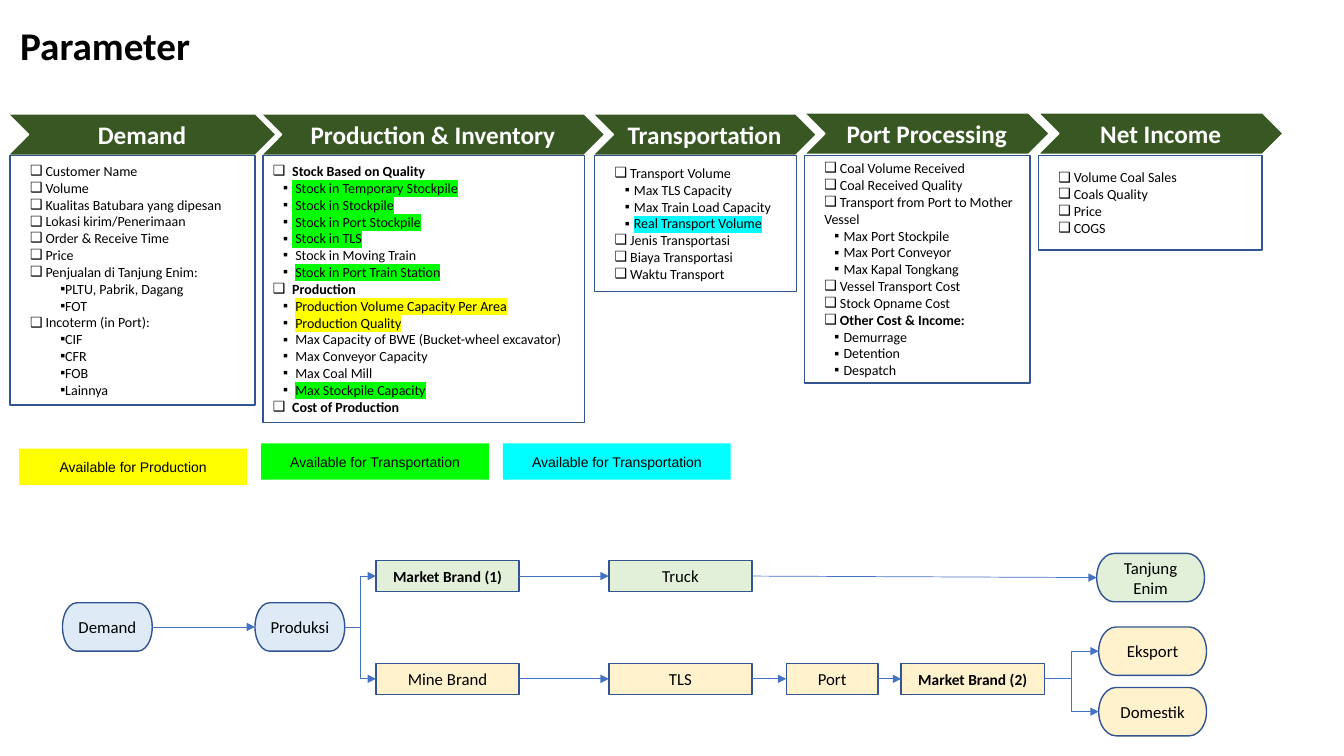
from dataclasses import dataclass
from typing import NamedTuple, Optional

from lxml import etree
from pptx import Presentation
from pptx import util as u
from pptx.dml import color
from pptx.enum import shapes, text
from pptx.oxml import ns

CELL = 0.1
COLUMNS, ROWS = 133.33, 75
COLORS = {
    "black": "000000", "white": "FFFFFF", "outline": "325491", "arrow": "4472C4",
    "header": "385723", "yellow": "FFFF00", "lime": "00FF00", "cyan": "00FFFF",
    "blue": "DEEBF7", "green": "E2F0D9", "cream": "FFF2CC",
}
RECTANGLE = shapes.MSO_SHAPE.RECTANGLE
TERMINATOR = shapes.MSO_SHAPE.FLOWCHART_TERMINATOR
CHEVRON = shapes.MSO_SHAPE.CHEVRON
STRAIGHT = shapes.MSO_CONNECTOR.STRAIGHT
ELBOW = shapes.MSO_CONNECTOR.ELBOW
LEFT_SIDE, RIGHT_SIDE = 1, 3


class Area(NamedTuple):
    column: float
    row: float
    columns: float
    rows: float


class Bullet(NamedTuple):
    mark: str
    margin: float
    indent: float
    level: int = 0


class Item(NamedTuple):
    bullet: Bullet
    wording: str
    highlight: Optional[str] = None
    bold: bool = False


@dataclass
class Style:
    fill: str
    line: Optional[str] = "outline"
    size: float = 12
    bold: bool = False
    ink: str = "black"
    font: str = "Calibri"


@dataclass
class Stage:
    name: str
    header: Area
    body: Area
    items: list[Item]


@dataclass
class Node:
    name: str
    kind: shapes.MSO_SHAPE
    area: Area
    style: Style


CHECK = Bullet("❑", 0.1, 0)
DEEP = Bullet("▪", 0.3, 0.1, 1)
SUB = Bullet("▪", 0.29, -0.09)
HEAD = Bullet("❑", 0.19, -0.19)
STOCK = Bullet("▪", 0.19, -0.09)


def plain(bullet: Bullet, *wordings: str) -> list[Item]:
    return [Item(bullet, wording) for wording in wordings]


STAGES = [
    Stage("Demand", Area(0.8, 11.3, 26.6, 4.1), Area(1, 15.4, 24.3, 24.8), [
        *plain(CHECK, " Customer Name", " Volume", " Kualitas Batubara yang dipesan",
               " Lokasi kirim/Penerimaan", " Order & Receive Time", " Price",
               " Penjualan di Tanjung Enim:"),
        *plain(DEEP, "PLTU, Pabrik, Dagang", "FOT"),
        *plain(CHECK, " Incoterm (in Port):"),
        *plain(DEEP, "CIF", "CFR", "FOB", "Lainnya")]),
    Stage("Production & Inventory", Area(25.9, 11.3, 34.1, 4.1), Area(26.1, 15.4, 31.9, 26.5), [
        Item(HEAD, "Stock Based on Quality", bold=True),
        Item(STOCK, " Stock in Temporary Stockpile", "lime"),
        Item(STOCK, " Stock in Stockpile", "lime"),
        Item(STOCK, " Stock in Port Stockpile", "lime"),
        Item(STOCK, " Stock in TLS", "lime"),
        Item(STOCK, " Stock in Moving Train"),
        Item(STOCK, " |Stock in Port Train Station", "lime"),
        Item(HEAD, "Production", bold=True),
        Item(STOCK, " |Production Volume Capacity Per Area", "yellow"),
        Item(STOCK, " |Production Quality", "yellow"),
        *plain(STOCK, " Max Capacity of BWE (Bucket-wheel excavator)",
               " Max Conveyor Capacity", " Max Coal Mill"),
        Item(STOCK, " |Max Stockpile Capacity", "lime"),
        Item(HEAD, "Cost of Production", bold=True)]),
    Stage("Transportation", Area(58.8, 11.3, 22.2, 4.1), Area(59, 15.4, 20, 13.5), [
        *plain(CHECK, " Transport Volume"),
        *plain(SUB, "Max TLS Capacity", "Max Train Load Capacity"),
        Item(SUB, "Real Transport Volume", "cyan"),
        *plain(CHECK, " Jenis Transportasi", " Biaya Transportasi", " Waktu Transport")]),
    Stage("Port Processing", Area(79.8, 11.2, 24.3, 4.1), Area(79.8, 15.4, 22.4, 22.6), [
        *plain(CHECK, " Coal Volume Received", " Coal Received Quality",
               " Transport from Port to Mother Vessel"),
        *plain(SUB, "Max Port Stockpile", "Max Port Conveyor", "Max Kapal Tongkang"),
        *plain(CHECK, " Vessel Transport Cost", " Stock Opname Cost"),
        Item(CHECK, " Other Cost & Income:", bold=True),
        *plain(SUB, "Demurrage", "Detention", "Despatch")]),
    Stage("Net Income", Area(103, 11.2, 24.3, 4.1), Area(103, 15.4, 22.2, 9.4),
          plain(CHECK, " Volume Coal Sales", " Coals Quality", " Price", " COGS")),
]
GREEN, CREAM, BLUE = Style("green"), Style("cream"), Style("blue")
NODES = [
    Node("Demand", TERMINATOR, Area(6.2, 59.8, 8.9, 4.8), BLUE),
    Node("Produksi", TERMINATOR, Area(25.3, 59.8, 8.9, 4.8), BLUE),
    Node("Market Brand (1)", RECTANGLE, Area(37.3, 55.6, 14.2, 3.1), Style("green", size=11, bold=True)),
    Node("Truck", RECTANGLE, Area(60.4, 55.6, 14.2, 3.1), GREEN),
    Node("Tanjung Enim", TERMINATOR, Area(108.8, 54.9, 10.7, 4.8), GREEN),
    Node("Mine Brand", RECTANGLE, Area(37.3, 65.8, 14.2, 3.1), CREAM),
    Node("TLS", RECTANGLE, Area(60.4, 65.8, 14.2, 3.1), CREAM),
    Node("Port", RECTANGLE, Area(78, 65.8, 9.1, 3.1), CREAM),
    Node("Market Brand (2)", RECTANGLE, Area(89.4, 65.8, 14.2, 3.1), Style("cream", size=11, bold=True)),
    Node("Eksport", TERMINATOR, Area(109, 62.2, 10.7, 4.8), CREAM),
    Node("Domestik", TERMINATOR, Area(109, 68.2, 10.7, 4.8), CREAM),
]
LINKS = [
    (STRAIGHT, "Demand", "Produksi"),
    (ELBOW, "Produksi", "Market Brand (1)"), (ELBOW, "Produksi", "Mine Brand"),
    (STRAIGHT, "Market Brand (1)", "Truck"), (STRAIGHT, "Truck", "Tanjung Enim"),
    (STRAIGHT, "Mine Brand", "TLS"), (STRAIGHT, "TLS", "Port"),
    (STRAIGHT, "Port", "Market Brand (2)"),
    (ELBOW, "Market Brand (2)", "Eksport"), (ELBOW, "Market Brand (2)", "Domestik"),
]
LEGEND = [
    ("Available for Production", "yellow", 1.9, 44.5),
    ("Available for Transportation", "lime", 25.9, 44),
    ("Available for Transportation", "cyan", 49.9, 44),
]


def cells(count: float) -> int:
    return u.Inches(count * CELL)


def rgb(name: str) -> color.RGBColor:
    return color.RGBColor.from_string(COLORS[name])


def format_run(run, size: float, bold: bool = False, ink: str = "black", font: str = "Calibri") -> None:
    run.font.size, run.font.bold, run.font.name = u.Pt(size), bold, font
    run.font.color.rgb = rgb(ink)


def draw_shape(slide, kind: shapes.MSO_SHAPE, area: Area, style: Style, label: str = ""):
    shape = slide.shapes.add_shape(kind, *map(cells, area))
    shape.shadow.inherit = False
    shape.fill.solid()
    shape.fill.fore_color.rgb = rgb(style.fill)
    if style.line:
        shape.line.color.rgb, shape.line.width = rgb(style.line), u.Pt(1)
    else:
        shape.line.fill.background()
    shape.text_frame.vertical_anchor = text.MSO_ANCHOR.MIDDLE
    if label:
        shape.text_frame.text = label
        paragraph = shape.text_frame.paragraphs[0]
        paragraph.alignment = text.PP_ALIGN.CENTER
        format_run(paragraph.runs[0], style.size, style.bold, style.ink, style.font)
    return shape


def write_item(paragraph, item: Item) -> None:
    paragraph.alignment, paragraph.level = text.PP_ALIGN.LEFT, item.bullet.level
    properties = paragraph._p.get_or_add_pPr()
    properties.set("marL", str(u.Inches(item.bullet.margin)))
    properties.set("indent", str(u.Inches(item.bullet.indent)))
    etree.SubElement(properties, ns.qn("a:buFont")).set("typeface", "Arial")
    etree.SubElement(properties, ns.qn("a:buChar")).set("char", item.bullet.mark)
    first, *others = item.wording.split("|")
    paragraph.text = first
    for wording in others:
        paragraph.add_run().text = wording
    for run in paragraph.runs:
        format_run(run, 10, item.bold)
    if item.highlight:
        highlight = etree.Element(ns.qn("a:highlight"))
        etree.SubElement(highlight, ns.qn("a:srgbClr")).set("val", COLORS[item.highlight])
        paragraph.runs[-1]._r.get_or_add_rPr().find(ns.qn("a:solidFill")).addnext(highlight)


def draw_stage(slide, stage: Stage) -> None:
    draw_shape(slide, CHEVRON, stage.header, Style("header", "white", 18, True, "white"), stage.name)
    frame = draw_shape(slide, RECTANGLE, stage.body, Style("white")).text_frame
    for index, item in enumerate(stage.items):
        write_item(frame.add_paragraph() if index else frame.paragraphs[0], item)


def draw_link(slide, kind: shapes.MSO_CONNECTOR, source, target) -> None:
    connector = slide.shapes.add_connector(kind, 0, 0, 0, 0)
    connector.begin_connect(source, RIGHT_SIDE)
    connector.end_connect(target, LEFT_SIDE)
    connector.line.color.rgb, connector.line.width = rgb("arrow"), u.Pt(0.5)
    etree.SubElement(connector.line._get_or_add_ln(), ns.qn("a:tailEnd")).set("type", "triangle")
    etree.SubElement(connector._element.spPr, ns.qn("a:effectLst"))


def draw_title(slide, label: str) -> None:
    title = slide.shapes.title
    title.left, title.top, title.width, title.height = map(cells, Area(1, 2.1, 118.7, 5.2))
    title.text_frame.text = label
    title.text_frame.vertical_anchor = text.MSO_ANCHOR.MIDDLE
    paragraph = title.text_frame.paragraphs[0]
    paragraph.alignment, paragraph.line_spacing = text.PP_ALIGN.LEFT, 0.9
    format_run(paragraph.runs[0], 28, True)


def main() -> None:
    presentation = Presentation()
    presentation.slide_width, presentation.slide_height = cells(COLUMNS), cells(ROWS)
    slide = presentation.slides.add_slide(presentation.slide_layouts[5])
    draw_title(slide, "Parameter")
    for stage in STAGES:
        draw_stage(slide, stage)
    nodes = {node.name: draw_shape(slide, node.kind, node.area, node.style, node.name) for node in NODES}
    for kind, source, target in LINKS:
        draw_link(slide, kind, nodes[source], nodes[target])
    for label, fill, column, row in LEGEND:
        draw_shape(slide, RECTANGLE, Area(column, row, 22.6, 3.6), Style(fill, None, 10, font="Arial"), label)
    presentation.save("out.pptx")


if __name__ == "__main__":
    main()
